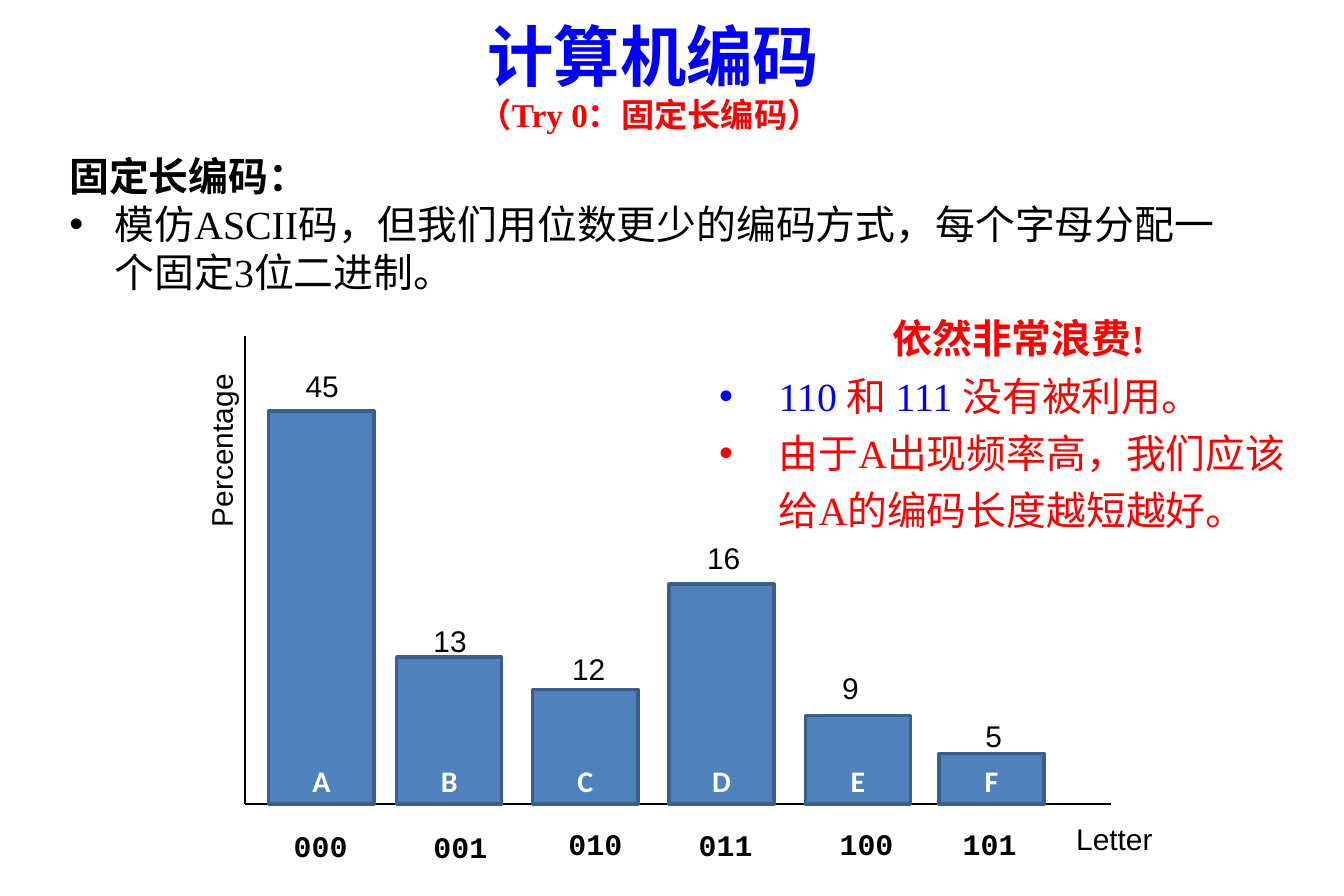
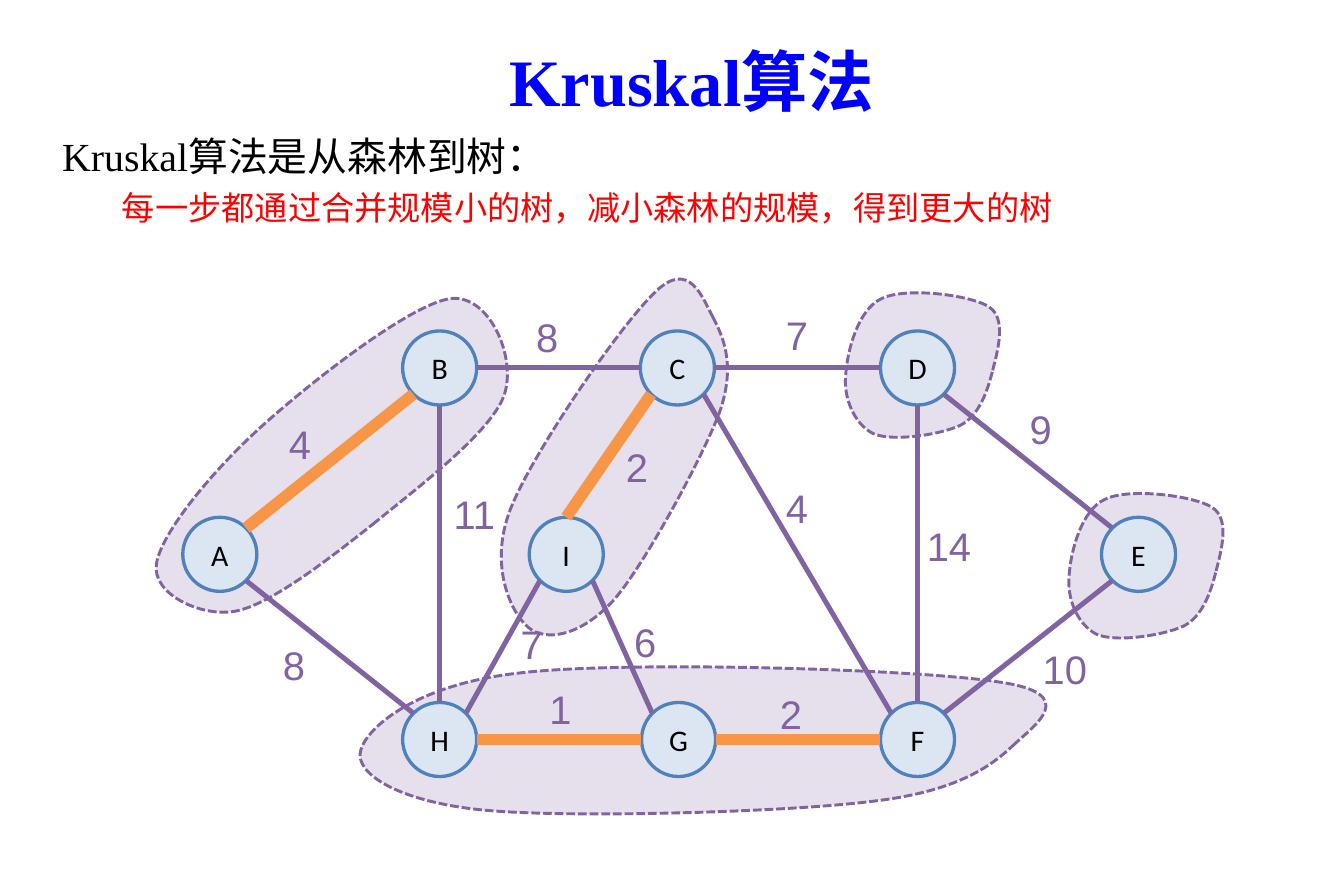
from lxml import etree
from pptx import Presentation
from pptx.dml.color import RGBColor
from pptx.enum.dml import MSO_LINE
from pptx.enum.shapes import MSO_CONNECTOR as CONN, MSO_SHAPE as SHAPE
from pptx.enum.text import MSO_ANCHOR as ANCHOR, MSO_AUTO_SIZE as FIT, PP_ALIGN as ALIGN
from pptx.oxml.ns import qn
from pptx.util import Emu, Pt

PX = 9144  # 100 px to the inch
COLORS = dict(black="000000", white="FFFFFF", blue="0000FF", red="FF0000",
              bar="4F81BD", bar_edge="3A5F8C", node="DCE6F2",
              purple="8064A2", lilac="E6E0EC", orange="F79646")
SERIF, SANS, MONO, LABEL = "Times New Roman", "Arial", "Courier New", "Calibri"
CJK = "Noto Sans CJK SC"


def px(*values):
    return [Emu(round(v * PX)) for v in values]


def rgb(name):
    return RGBColor.from_string(COLORS[name])


# ---- Text ----
def style(r, size, font, color, bold=False):
    f = r.font
    f.size, f.name, f.bold = Pt(size), font, bold
    f.color.rgb = rgb(color)


def set_indent(p, left, hanging=0, bullet=False):
    pPr = p._p.get_or_add_pPr()
    pPr.set("marL", str(left * PX))
    pPr.set("indent", str(-hanging * PX))
    if bullet:
        etree.SubElement(pPr, qn("a:buFont")).set("typeface", SANS)
        etree.SubElement(pPr, qn("a:buChar")).set("char", "•")
    else:
        etree.SubElement(pPr, qn("a:buNone"))


def write(tf, paragraphs):
    """Each paragraph is (runs, options); each run is (text, *style)."""
    tf.word_wrap, tf.auto_size = True, FIT.NONE
    for i, (runs, opts) in enumerate(paragraphs):
        p = tf.add_paragraph() if i else tf.paragraphs[0]
        p.level = opts.get("level", 0)
        set_indent(p, *opts.get("indent", (0,)))
        p.alignment = opts.get("align", ALIGN.LEFT)
        p.line_spacing = opts.get("spacing", 1.0)
        p.space_before = Pt(0)
        for text, *look in runs:
            r = p.add_run()
            r.text = text
            style(r, *look)


def place(sp, box):
    sp.left, sp.top, sp.width, sp.height = px(*box)


def title(slide, box, *lines):
    sp = slide.shapes.title
    place(sp, box)
    write(sp.text_frame, [([line], {"align": ALIGN.CENTER}) for line in lines])
    sp.text_frame.vertical_anchor = ANCHOR.MIDDLE


def body(slide, box, paragraphs):
    sp = slide.placeholders[1]
    place(sp, box)
    write(sp.text_frame, paragraphs)


def label(slide, box, text, size=18, font=SANS, color="black", bold=False):
    sp = slide.shapes.add_textbox(*px(*box))
    write(sp.text_frame, [([(text, size, font, color, bold)], {})])
    return sp


# ---- Shapes and lines ----
def paint(sp, fill, line=None, width=2):
    sp.shadow.inherit = False
    sp.fill.solid()
    sp.fill.fore_color.rgb = rgb(fill)
    if line:
        sp.line.color.rgb = rgb(line)
        sp.line.width = Pt(width)
    else:
        sp.line.fill.background()


def shape(slide, kind, box, text, look, anchor, *colors):
    sp = slide.shapes.add_shape(kind, *px(*box))
    paint(sp, *colors)
    write(sp.text_frame, [([(text, *look)], {"align": ALIGN.CENTER})])
    sp.text_frame.vertical_anchor = anchor


def line(slide, start, end, color, width):
    cx = slide.shapes.add_connector(CONN.STRAIGHT, *px(*start, *end))
    cx.line.color.rgb = rgb(color)
    cx.line.width = Pt(width)
    etree.SubElement(cx._element.spPr, qn("a:effectLst"))


def blob(slide, x, y, points):
    """Closed outline through cubic curves: a knot, then two handles, and so on."""
    start, *rest = [px(x + dx, y + dy) for dx, dy in points]
    fb = slide.shapes.build_freeform(*start)
    fb.add_line_segments(rest + [start], close=True)
    sp = fb.convert_to_shape()
    # Join every three straight segments into one curve
    segments = list(sp._element.iter(qn("a:lnTo")))
    for i in range(0, len(segments), 3):
        curve = etree.Element(qn("a:cubicBezTo"))
        segments[i].addprevious(curve)
        for segment in segments[i:i + 3]:
            curve.append(segment[0])
            segment.getparent().remove(segment)
    paint(sp, "lilac", "purple", 1.75)
    sp.line.dash_style = MSO_LINE.SQUARE_DOT


# ---- Bar diagram of letter frequencies ----
# letter, bar left, bar top, percentage and its place, place of the code
BARS = [("A", 20, 63, "45", 41, 22, 31, 407),
        ("B", 127, 269, "13", 148, 235, 148, 408),
        ("C", 241, 296, "12", 264, 259, 261, 405),
        ("D", 355, 208, "16", 377, 166, 370, 406),
        ("E", 469, 318, "9", 490, 275, 488, 405),
        ("F", 581, 350, "5", 610, 315, 591, 405)]


def bar_diagram(slide, x, y, w, h):
    base = y + h
    line(slide, (x, y), (x, base), "black", 0.75)
    line(slide, (x, base), (x + w, base), "black", 0.75)
    for i, (letter, left, top, value, vx, vy, cx, cy) in enumerate(BARS):
        shape(slide, SHAPE.RECTANGLE, (x + left, y + top, 88, h - top), letter,
              (18, LABEL, "white", True), ANCHOR.BOTTOM, "bar", "bar_edge")
        label(slide, (x + vx, y + vy, 76, 40), value)
        label(slide, (x + cx, y + cy, 92, 40), f"{i:03b}", font=MONO, bold=True)
    label(slide, (x - 109, y + 61, 178, 40), "Percentage").rotation = 270
    label(slide, (x + 686, y + 401, 109, 40), "Letter")


def callout(slide, box):
    sp = slide.shapes.add_shape(SHAPE.RECTANGLE, *px(*box))
    paint(sp, "white")
    red, blue = (24, SERIF, "red"), (24, SERIF, "blue")
    item = {"indent": (50, 50, True), "spacing": 1.2}
    write(sp.text_frame, [
        ([("依然非常浪费!", *red, True)], {"align": ALIGN.CENTER, "indent": (0, 16)}),
        ([("110 ", *blue), ("和 ", *red), ("111 ", *blue), ("没有被利用。", *red)], item),
        ([("由于A出现频率高，我们应该给A的编码长度越短越好。", *red)], item)])
    sp.text_frame.vertical_anchor = ANCHOR.TOP


# ---- Weighted graph with its forest ----
RADIUS = 31
TOP, MIDDLE, BOTTOM = 108, 264, 419
NODES = {"A": (84, MIDDLE), "B": (268, TOP), "C": (467, TOP),
         "D": (668, TOP), "E": (853, MIDDLE), "F": (668, BOTTOM),
         "G": (468, BOTTOM), "H": (268, BOTTOM), "I": (374, MIDDLE)}
COMPASS = {"N": (0, -1), "S": (0, 1), "E": (1, 0), "W": (-1, 0),
           "NE": (0.71, -0.71), "SE": (0.71, 0.71),
           "NW": (-0.71, -0.71), "SW": (-0.71, 0.71)}
# ends with their sides, weight and its place, whether in the forest
EDGES = [("C", "SE", "F", "NW", "4", 548, 200, False),
         ("C", "E", "D", "W", "7", 548, 55, False),
         ("E", "NW", "D", "SE", "9", 752, 134, False),
         ("E", "SW", "F", "NE", "10", 763, 335, False),
         ("D", "S", "F", "N", "14", 666, 232, False),
         ("I", "SE", "G", "NW", "6", 421, 312, False),
         ("G", "E", "F", "W", "2", 543, 372, True),
         ("I", "N", "C", "SW", "2", 414, 166, True),
         ("B", "E", "C", "W", "8", 339, 57, False),
         ("A", "NE", "B", "SW", "4", 132, 146, True),
         ("A", "SE", "H", "NW", "8", 127, 331, False),
         ("G", "W", "H", "E", "1", 350, 368, True),
         ("I", "SW", "H", "NE", "7", 326, 314, False),
         ("H", "N", "B", "S", "11", 270, 205, False)]
TREE_D = [(731, 110), (735, 94), (743, 67), (728, 57), (713, 47), (658, 40),
          (638, 50), (618, 59), (609, 95), (608, 114), (606, 133), (615, 155),
          (631, 163), (647, 170), (687, 164), (704, 156), (720, 148), (727, 126)]
TREE_E = [(x + 187, y + 168) for x, y in TREE_D]
TREE_CI = [(497, 66), (488, 49), (477, 17), (449, 44), (420, 71), (345, 180),
           (327, 227), (309, 274), (328, 313), (342, 325), (357, 338), (387, 332),
           (414, 302), (440, 272), (487, 185), (502, 146), (516, 107), (506, 83)]
TREE_AB = [(212, 239), (250, 208), (311, 162), (322, 131), (333, 100), (310, 46),
           (277, 50), (243, 55), (160, 120), (119, 157), (78, 194), (35, 246),
           (31, 272), (27, 297), (67, 316), (95, 312), (124, 308), (174, 269)]
TREE_HGF = [(748, 424), (766, 407), (805, 381), (737, 371), (668, 360), (427, 353),
            (338, 363), (249, 372), (207, 409), (202, 428), (196, 447), (233, 471),
            (304, 478), (375, 485), (555, 480), (628, 471), (701, 463), (730, 441)]


def graph(slide, x, y):
    def rim(node, side):
        (nx, ny), (dx, dy) = NODES[node], COMPASS[side]
        return x + nx + RADIUS * dx, y + ny + RADIUS * dy

    for tree in (TREE_E, TREE_D, TREE_CI, TREE_AB, TREE_HGF):
        blob(slide, x, y, tree)
    for name, (nx, ny) in NODES.items():
        box = (x + nx - RADIUS, y + ny - RADIUS, 2 * RADIUS, 2 * RADIUS)
        shape(slide, SHAPE.OVAL, box, name, (18, LABEL, "black"),
              ANCHOR.MIDDLE, "node", "bar")
    for a, side_a, b, side_b, _, _, _, chosen in EDGES:
        color, width = ("orange", 7) if chosen else ("purple", 3)
        line(slide, rim(a, side_a), rim(b, side_b), color, width)
    for *_, weight, wx, wy, _ in EDGES:
        label(slide, (x + wx, y + wy, 86, 50), weight, 24, color="purple")


# ---- Slides ----
def coding_slide(slide):
    title(slide, (41, 0, 1012, 125), ("计算机编码", 40, CJK, "blue", True),
          ("（Try 0：固定长编码） ", 20, SERIF, "red", True))
    body(slide, (48, 122, 1007, 131), [
        ([("固定长编码：", 24, SERIF, "black", True)], {}),
        ([("模仿ASCII码，但我们用位数更少的编码方式，每个字母分配一个固定3位二进制。",
           24, SERIF, "black")], {"indent": (38, 38, True)})])
    bar_diagram(slide, 205, 281, 725, 392)
    callout(slide, (592, 258, 521, 191))


def kruskal_slide(slide):
    title(slide, (391, -3, 376, 139), ("Kruskal算法", 40, SERIF, "blue", True))
    body(slide, (42, 97, 900, 95), [
        ([("Kruskal算法是从森林到树：", 24, SERIF, "black")], {"spacing": 1.2}),
        ([("每一步都通过合并规模小的树，减小森林的规模，得到更大的树", 20, SERIF, "red")],
         {"level": 1, "indent": (50,), "spacing": 1.2})])
    graph(slide, 100, 200)


def main():
    prs = Presentation()
    prs.slide_width, prs.slide_height = px(1125, 750)
    for build in (coding_slide, kruskal_slide):
        build(prs.slides.add_slide(prs.slide_layouts[1]))
    prs.save("out.pptx")


if __name__ == "__main__":
    main()
